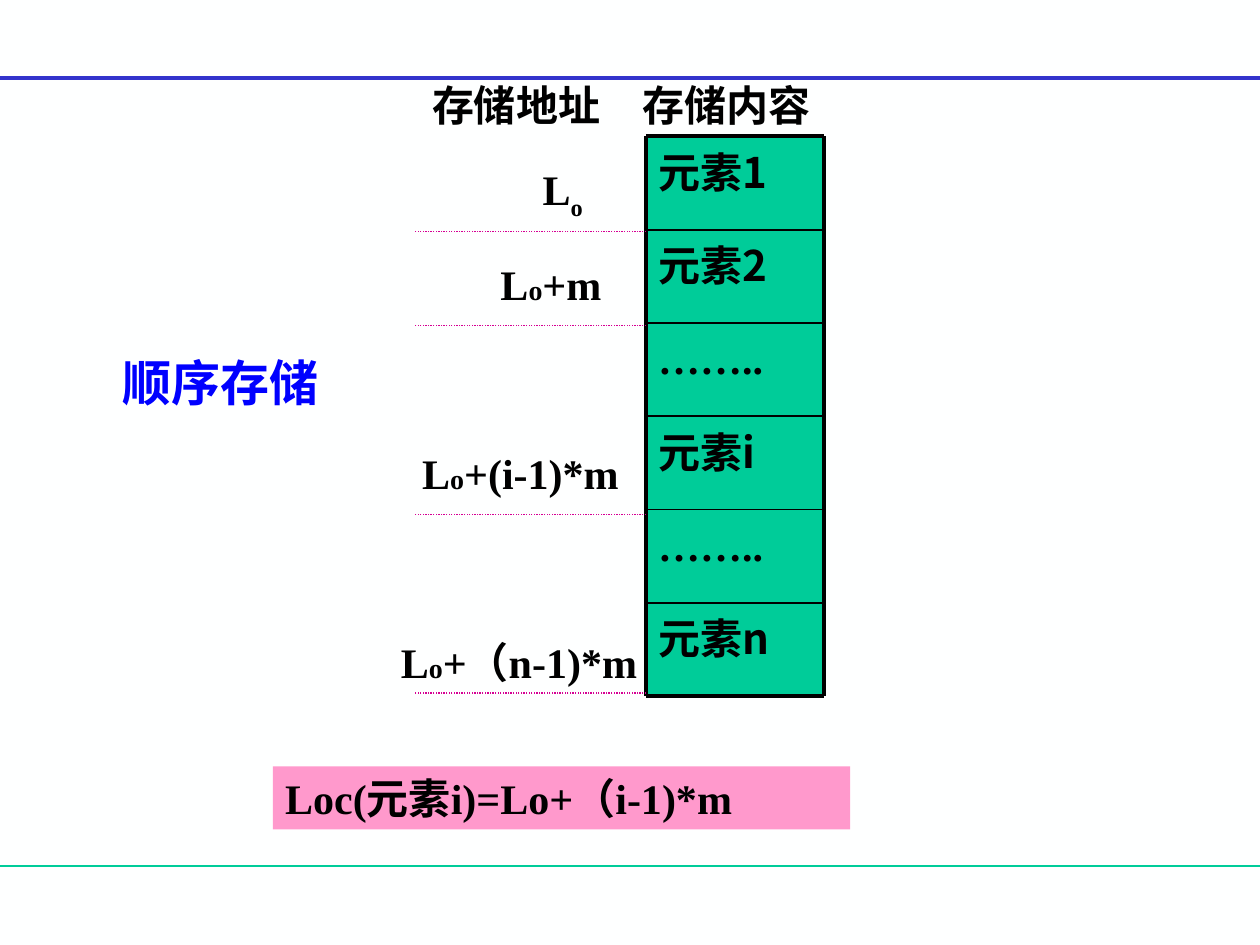
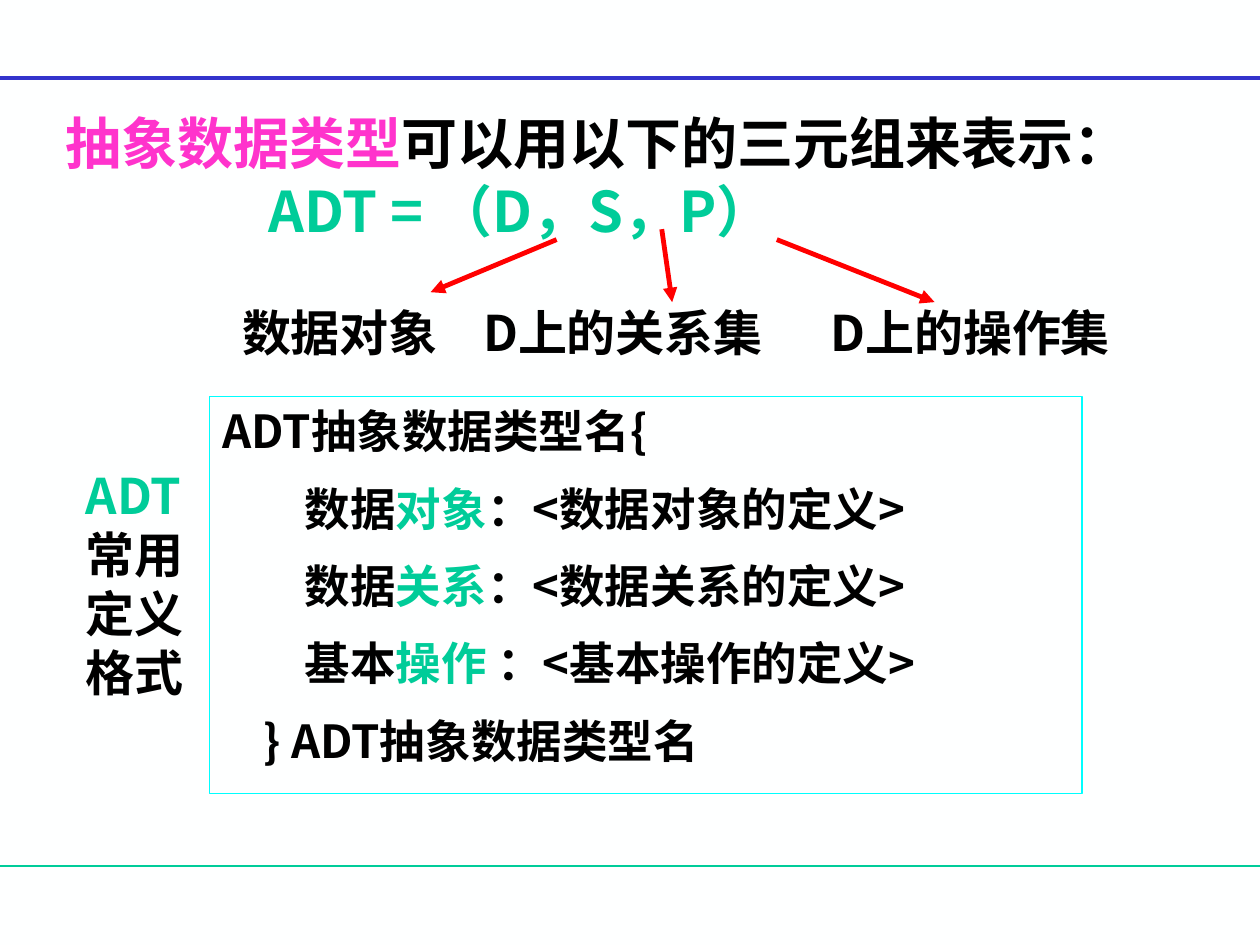
"""Build two slides on sequential storage and abstract data types."""
from lxml import etree
from pptx import Presentation
from pptx import util as u
from pptx.dml.color import RGBColor
from pptx.enum import dml, shapes, text
from pptx.oxml.ns import qn

SANS, SERIF = "Noto Sans CJK SC", "Times New Roman"
BLACK, GREEN, BLUE, PINK = "000000", "00CC99", "0000FF", "FF99CC"
MAGENTA, RED, CYAN = "FF33CC", "FF0000", "00FFFF"
PAGE_WIDTH, PAGE_HEIGHT = 25.4, 19.05


def color(value):
    """Turn a hex string into a colour."""
    return RGBColor.from_string(value)


def place(item, left, top, width, height):
    """Put a shape at a position given in centimetres."""
    item.left, item.top = u.Cm(left), u.Cm(top)
    item.width, item.height = u.Cm(width), u.Cm(height)


def add_line(page, start, end, tint, width, dash=None, arrow=False):
    """Draw a straight line between two points in centimetres."""
    points = [u.Cm(value) for value in (*start, *end)]
    line = page.shapes.add_connector(shapes.MSO_CONNECTOR.STRAIGHT, *points)
    line.line.color.rgb = color(tint)
    line.line.width = u.Pt(width)
    if dash:
        line.line.dash_style = dash
    if arrow:
        etree.SubElement(line.line._get_or_add_ln(), qn("a:tailEnd"), type="triangle")
    etree.SubElement(line._element.spPr, qn("a:effectLst"))


def write_para(para, spans, size, font=SANS, tint=BLACK, indent=0, gap=0):
    """Write spans of (text, settings) as one bold paragraph."""
    props = para._p.get_or_add_pPr()
    props.set("marL", str(u.Cm(indent)))
    props.set("indent", "0")
    etree.SubElement(props, qn("a:buNone"))
    para.alignment = text.PP_ALIGN.LEFT
    para.line_spacing = u.Pt(size * 1.2)
    para.space_before = u.Pt(gap)
    para.font.size, para.font.name, para.font.bold = u.Pt(size), font, True
    para.font.color.rgb = color(tint)
    etree.SubElement(props.find(qn("a:defRPr")), qn("a:ea"), typeface=SANS)
    for words, settings in spans:
        span = para.add_run()
        span.text = words
        if "tint" in settings:
            span.font.color.rgb = color(settings["tint"])
        if "size" in settings:
            span.font.size = u.Pt(settings["size"])
        if "baseline" in settings:
            span._r.get_or_add_rPr().set("baseline", settings["baseline"])


def fill_box(box, spot, spans, size, **style):
    """Place a box and write one paragraph into it."""
    place(box, *spot)
    frame = box.text_frame
    frame.word_wrap = True
    frame.auto_size = text.MSO_AUTO_SIZE.NONE
    frame.vertical_anchor = text.MSO_ANCHOR.TOP
    write_para(frame.paragraphs[0], spans, size, **style)


def add_text(page, spot, spans, size, **style):
    """Add a text box with one paragraph."""
    fill_box(page.shapes.add_textbox(0, 0, 0, 0), spot, spans, size, **style)


def add_block(page, spot, words, fill, font):
    """Add a filled rectangle with one line of text."""
    block = page.shapes.add_shape(shapes.MSO_SHAPE.RECTANGLE, 0, 0, 0, 0)
    block.shadow.inherit = False
    block.fill.solid()
    block.fill.fore_color.rgb = color(fill)
    block.line.fill.background()
    fill_box(block, spot, [(words, {})], 24, font=font)
    return block


def add_storage(page, contents, left, top, width, height):
    """Stack the stored elements and rule them off."""
    right, count = left + width, len(contents)
    for index, content in enumerate(contents):
        font = SERIF if content.startswith("…") else SANS
        spot = (left, top + index * height, width, height)
        block = add_block(page, spot, content, GREEN, font)
        block.text_frame.margin_top = u.Cm(0.2)
    for index in range(count + 1):
        level = top + index * height
        add_line(page, (left, level), (right, level), BLACK,
                 2.25 if index in (0, count) else 1)
    for side in (left, right):
        add_line(page, (side, top), (side, top + count * height), BLACK, 2.25)


def add_page(deck, layout):
    """Add a slide with the shared rules at top and bottom."""
    page = deck.slides.add_slide(deck.slide_layouts[layout])
    add_line(page, (0, 17.46), (PAGE_WIDTH, 17.46), GREEN, 0.75)
    add_line(page, (0, 1.58), (PAGE_WIDTH, 1.58), "3333CC", 2.25)
    return page


def build_storage(deck):
    """Build the slide on sequential storage."""
    page = add_page(deck, 5)
    fill_box(page.shapes.title, (2.22, 6.97, 5, 1.45), [("顺序存储", {})], 28,
             font=SERIF, tint=BLUE)
    add_storage(page, ["元素1", "元素2", "……..", "元素i", "……..", "元素n"],
                13.02, 2.75, 3.6, 1.88)
    for heading, left, width in (("存储地址", 8.46, 4.34), ("存储内容", 12.7, 4.01)):
        add_text(page, (left, 1.47, width, 1.27), [(heading, {})], 24, font=SERIF)
    addresses = [
        ("", 10.69, 3.32, 2.11, 4.66),
        ("+m", 9.84, 5.08, 2.97, 6.56),
        ("+(i-1)*m", 8.26, 8.89, 5.38, 10.37),
        ("+（n-1)*m", 7.83, 12.7, 5.28, 13.97),
    ]
    for offset, left, top, width, rule in addresses:
        small = {"size": 16} if offset else {"baseline": "-25000"}
        spans = [("L", {}), ("o", small)] + ([(offset, {})] if offset else [])
        add_text(page, (left, top, width, 1.27), spans, 24, font=SERIF)
        add_line(page, (13.02, rule), (8.36, rule), "D60093", 0.75,
                 dash=dml.MSO_LINE.ROUND_DOT)
    add_block(page, (5.5, 15.45, 11.64, 1.27), "Loc(元素i)=Lo+（i-1)*m", PINK, SERIF)


def build_adt(deck):
    """Build the slide on abstract data types."""
    page = add_page(deck, 1)
    green = {"tint": GREEN}
    fill_box(page.shapes.title, (1.06, 2.06, 23.29, 1.6),
             [("抽象数据类型", {"tint": MAGENTA}), ("可以用以下的三元组来表示：", {})], 32)
    add_text(page, (5.16, 3.43, 14, 1.6), [("ADT = （D，S，P）", {})], 32, tint=GREEN)
    members = [
        ("数据对象", 4.63, (11.22, 4.83), (8.68, 5.89)),
        ("D上的关系集", 9.49, (13.34, 4.62), (13.55, 6.09)),
        ("D上的操作集", 16.49, (15.66, 4.83), (18.84, 6.09)),
    ]
    for label, left, start, end in members:
        add_text(page, (left, 5.97, 6.9, 1.45), [(label, {})], 28)
        add_line(page, start, end, RED, 2.75, arrow=True)

    body = page.placeholders[1]
    fill_box(body, (4.23, 8, 17.58, 8), [("ADT抽象数据类型名{", {})], 26)
    body.line.color.rgb = color(CYAN)
    body.line.width = u.Pt(0.75)
    parts = [("数据", "对象", "："), ("数据", "关系", "："), ("基本", "操作", " ：")]
    for kind, name, colon in parts:
        spans = [(kind, {}), (name, green), (f"{colon}<{kind}{name}的定义>", {})]
        write_para(body.text_frame.add_paragraph(), spans, 26, indent=1.66, gap=13)
    write_para(body.text_frame.add_paragraph(), [("} ADT抽象数据类型名", {})], 26,
               indent=0.83, gap=13)
    add_text(page, (1.48, 9.27, 2.74, 5), [("ADT", green), ("常用定义格式", {})], 28)


def main():
    """Build and save the deck."""
    deck = Presentation()
    deck.slide_width, deck.slide_height = u.Cm(PAGE_WIDTH), u.Cm(PAGE_HEIGHT)
    backdrop = deck.slide_master.background.fill
    backdrop.solid()
    backdrop.fore_color.rgb = color("FEFFFF")
    build_storage(deck)
    build_adt(deck)
    deck.save("out.pptx")


if __name__ == "__main__":
    main()
